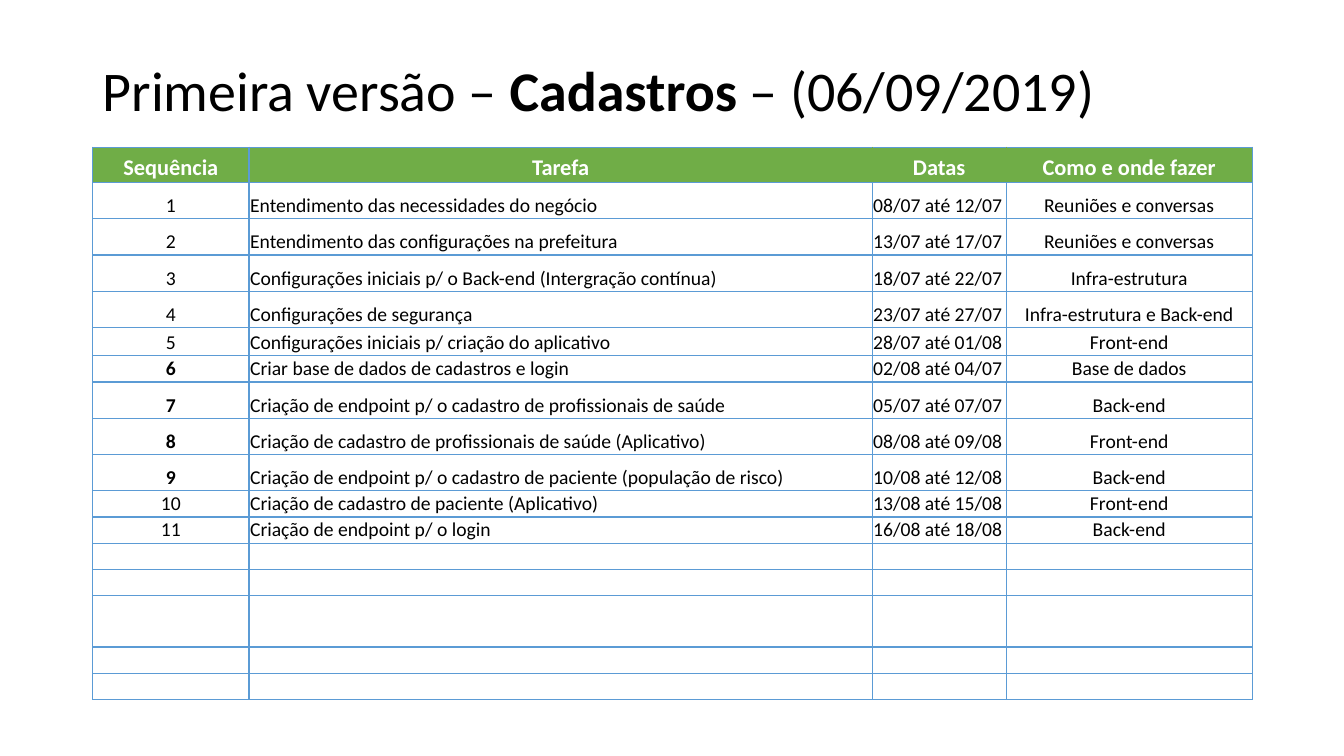
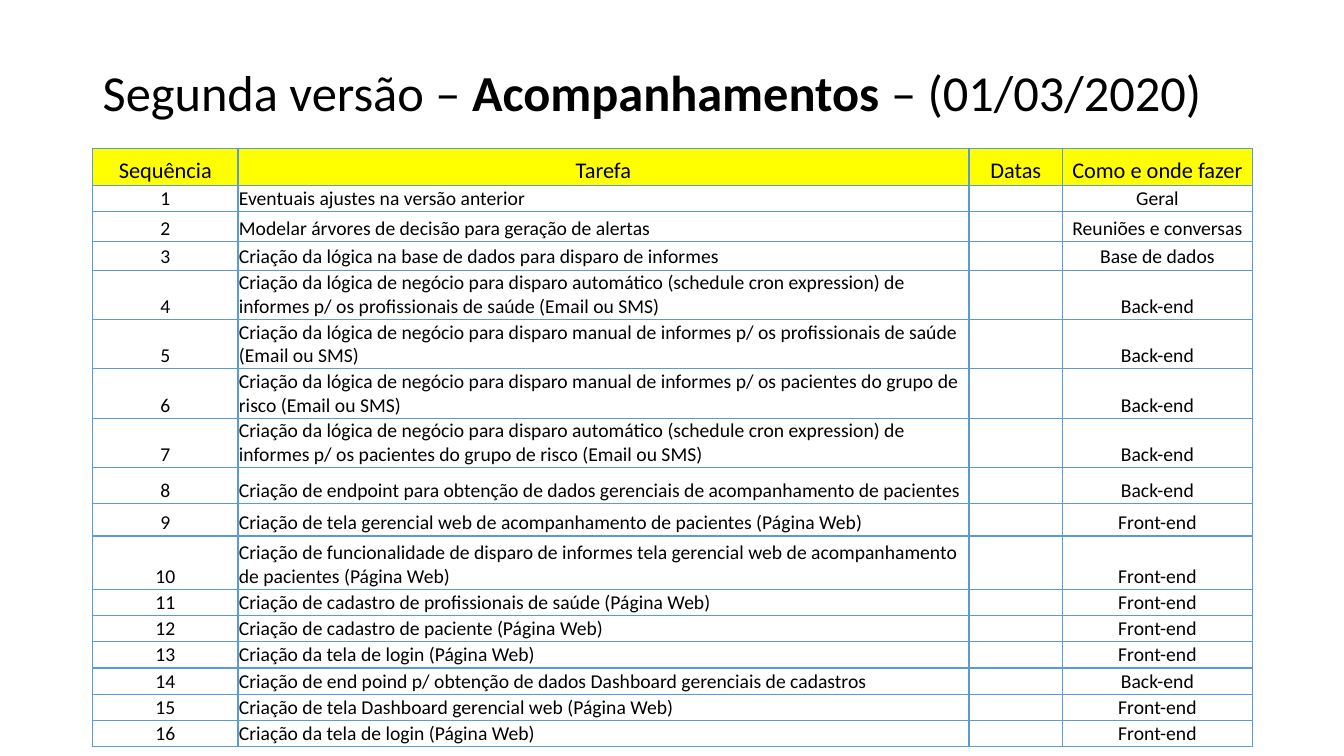
"""Builds two release schedules, each a title over a table of tasks."""
from dataclasses import dataclass

from lxml import etree
from pptx import Presentation
from pptx import util as u
from pptx.dml.color import RGBColor
from pptx.enum import text
from pptx.oxml import ns

COLUMNS, ROWS = 1333, 750
LEFT, WIDTH, TITLE_TOP = 92, 1150, 40
FONT, BLACK, WHITE, GREEN, YELLOW, BLUE = (
    "Calibri", "000000", "FFFFFF", "70AD47", "FFFF00", "5B9BD5")
HEADER_SIZE, BODY_SIZE, BORDER_POINTS = 16, 14, 1
HEADINGS = ("Sequência", "Tarefa", "Datas", "Como e onde fazer")
TASK_COLUMN = 1
BACK, FRONT, BASE = "Back-end", "Front-end", "Base de dados"
MEETINGS = "Reuniões e conversas"
SHORT, TALL, DOUBLE = 26, 36, 49


@dataclass(frozen=True)
class Task:
    height: int
    name: str
    place: str
    dates: str = ""
    bold: bool = False


@dataclass(frozen=True)
class Schedule:
    lead: str
    subject: str
    deadline: str
    title_size: int
    title_height: int
    table_top: int
    widths: tuple[int, ...]
    header_height: int
    header_fill: str
    header_color: str
    header_bold: bool
    header_joins: tuple[int, ...]
    left_aligned: tuple[int, ...]
    tasks: tuple[Task, ...]
    blank_heights: tuple[int, ...] = ()


SCHEDULES = (
    Schedule(
        "Primeira versão – ", "Cadastros", " – (06/09/2019)", 40, 106, 146,
        (155, 618, 133, 244), 35, GREEN, WHITE, True, (2, 3), (1, 2),
        (
            Task(TALL, "Entendimento das necessidades do negócio", MEETINGS, "08/07 até 12/07"),
            Task(TALL, "Entendimento das configurações na prefeitura", MEETINGS,
                 "13/07 até 17/07"),
            Task(TALL, "Configurações iniciais p/ o Back-end (Intergração contínua)",
                 "Infra-estrutura", "18/07 até 22/07"),
            Task(TALL, "Configurações de segurança", "Infra-estrutura e Back-end",
                 "23/07 até 27/07"),
            Task(28, "Configurações iniciais p/ criação do aplicativo", FRONT,
                 "28/07 até 01/08"),
            Task(SHORT, "Criar base de dados de cadastros e login", BASE,
                 "02/08 até 04/07", True),
            Task(TALL, "Criação de endpoint p/ o cadastro de profissionais de saúde", BACK,
                 "05/07 até 07/07", True),
            Task(TALL, "Criação de cadastro de profissionais de saúde (Aplicativo)", FRONT,
                 "08/08 até 09/08", True),
            Task(TALL, "Criação de endpoint p/ o cadastro de paciente (população de risco)",
                 BACK, "10/08 até 12/08", True),
            Task(SHORT, "Criação de cadastro de paciente (Aplicativo)", FRONT,
                 "13/08 até 15/08"),
            Task(SHORT, "Criação de endpoint p/ o login", BACK, "16/08 até 18/08"),
        ),
        (SHORT, SHORT, 51, SHORT, SHORT),
    ),
    Schedule(
        "Segunda versão – ", "Acompanhamentos ", "– (01/03/2020)", 36, 108, 147,
        (144, 725, 93, 188), 37, YELLOW, BLACK, False, (), (1,),
        (
            Task(SHORT, "Eventuais ajustes na versão anterior", "Geral"),
            Task(30, "Modelar árvores de decisão para geração de alertas", MEETINGS),
            Task(28, "Criação da lógica na base de dados para disparo de informes", BASE),
            Task(DOUBLE, "Criação da lógica de negócio para disparo automático (schedule cron "
                 "expression) de informes p/ os profissionais de saúde (Email ou SMS)", BACK),
            Task(DOUBLE, "Criação da lógica de negócio para disparo manual de informes p/ os "
                 "profissionais de saúde (Email ou SMS)", BACK),
            Task(DOUBLE, "Criação da lógica de negócio para disparo manual de informes p/ os "
                 "pacientes do grupo de risco (Email ou SMS)", BACK),
            Task(DOUBLE, "Criação da lógica de negócio para disparo automático (schedule cron "
                 "expression) de informes p/ os pacientes do grupo de risco (Email ou SMS)",
                 BACK),
            Task(TALL, "Criação de endpoint para obtenção de dados gerenciais de "
                 "acompanhamento de pacientes", BACK),
            Task(32, "Criação de tela gerencial web de acompanhamento de pacientes "
                 "(Página Web)", FRONT),
            Task(53, "Criação de funcionalidade de disparo de informes tela gerencial web de "
                 "acompanhamento de pacientes (Página Web)", FRONT),
            Task(SHORT, "Criação de cadastro de profissionais de saúde (Página Web)", FRONT),
            Task(SHORT, "Criação de cadastro de paciente (Página Web)", FRONT),
            Task(SHORT, "Criação da tela de login (Página Web)", FRONT),
            Task(SHORT, "Criação de end poind p/ obtenção de dados Dashboard gerenciais de "
                 "cadastros", BACK),
            Task(SHORT, "Criação de tela Dashboard gerencial web (Página Web)", FRONT),
            Task(SHORT, "Criação da tela de login (Página Web)", FRONT),
        ),
    ),
)


def grid(count: int) -> u.Length:
    return u.Inches(count / 100)


def rgb(value: str) -> RGBColor:
    return RGBColor.from_string(value)


def add_run(paragraph, words: str, size: int, color: str, bold: bool) -> None:
    run = paragraph.add_run()
    run.text = words
    run.font.name = FONT
    run.font.size = u.Pt(size)
    run.font.bold = bold
    run.font.color.rgb = rgb(color)


def add_title(slide, schedule: Schedule) -> None:
    shape = slide.shapes.add_textbox(
        grid(LEFT), grid(TITLE_TOP), grid(WIDTH), grid(schedule.title_height))
    frame = shape.text_frame
    frame.word_wrap = True
    frame.vertical_anchor = text.MSO_ANCHOR.MIDDLE
    paragraph = frame.paragraphs[0]
    paragraph.line_spacing = 0.9
    for words, bold in ((schedule.lead, False), (schedule.subject, True),
                        (schedule.deadline, False)):
        add_run(paragraph, words, schedule.title_size, BLACK, bold)


def set_borders(cell, left: str = BLUE, right: str = BLUE) -> None:
    properties = cell._tc.get_or_add_tcPr()
    for edge, color in (("L", left), ("R", right), ("T", BLUE), ("B", BLUE)):
        line = etree.SubElement(
            properties, ns.qn(f"a:ln{edge}"), w=str(u.Pt(BORDER_POINTS)))
        fill = etree.SubElement(line, ns.qn("a:solidFill"))
        etree.SubElement(fill, ns.qn("a:srgbClr"), val=color)


def fill_cell(cell, words: str, size: int, color: str, bold: bool, centred: bool) -> None:
    cell.margin_left = cell.margin_right = grid(1)
    cell.margin_top = cell.margin_bottom = grid(1)
    cell.vertical_anchor = text.MSO_ANCHOR.BOTTOM
    paragraph = cell.text_frame.paragraphs[0]
    paragraph.alignment = text.PP_ALIGN.CENTER if centred else text.PP_ALIGN.LEFT
    if words:
        add_run(paragraph, words, size, color, bold)
    else:
        etree.SubElement(paragraph._p, ns.qn("a:endParaRPr"), sz=str(size * 100))


def add_header(table, schedule: Schedule) -> None:
    for column, heading in enumerate(HEADINGS):
        cell = table.cell(0, column)
        left, right = (schedule.header_fill if side in schedule.header_joins else BLUE
                       for side in (column, column + 1))
        set_borders(cell, left, right)
        cell.fill.solid()
        cell.fill.fore_color.rgb = rgb(schedule.header_fill)
        fill_cell(cell, heading, HEADER_SIZE, schedule.header_color,
                  schedule.header_bold, True)


def add_body_row(table, row: int, values: tuple[str, ...], bold: bool,
                 left_aligned: tuple[int, ...]) -> None:
    for column, words in enumerate(values):
        cell = table.cell(row, column)
        set_borders(cell)
        cell.fill.background()
        fill_cell(cell, words, BODY_SIZE, BLACK, bold and column < TASK_COLUMN,
                  column not in left_aligned)


def add_schedule_table(slide, schedule: Schedule) -> None:
    heights = (schedule.header_height, *(task.height for task in schedule.tasks),
               *schedule.blank_heights)
    table = slide.shapes.add_table(
        len(heights), len(HEADINGS), grid(LEFT), grid(schedule.table_top),
        grid(WIDTH), grid(sum(heights))).table
    table.first_row = table.horz_banding = False
    for column, width in zip(table.columns, schedule.widths):
        column.width = grid(width)
    for row, height in zip(table.rows, heights):
        row.height = grid(height)
    add_header(table, schedule)
    for number, task in enumerate(schedule.tasks, 1):
        add_body_row(table, number, (str(number), task.name, task.dates, task.place),
                     task.bold, schedule.left_aligned)
    for row in range(len(schedule.tasks) + 1, len(heights)):
        add_body_row(table, row, ("",) * len(HEADINGS), False, schedule.left_aligned)


def main() -> None:
    presentation = Presentation()
    presentation.slide_width, presentation.slide_height = grid(COLUMNS), grid(ROWS)
    for schedule in SCHEDULES:
        slide = presentation.slides.add_slide(presentation.slide_layouts[6])
        add_title(slide, schedule)
        add_schedule_table(slide, schedule)
    presentation.save("out.pptx")


if __name__ == "__main__":
    main()
